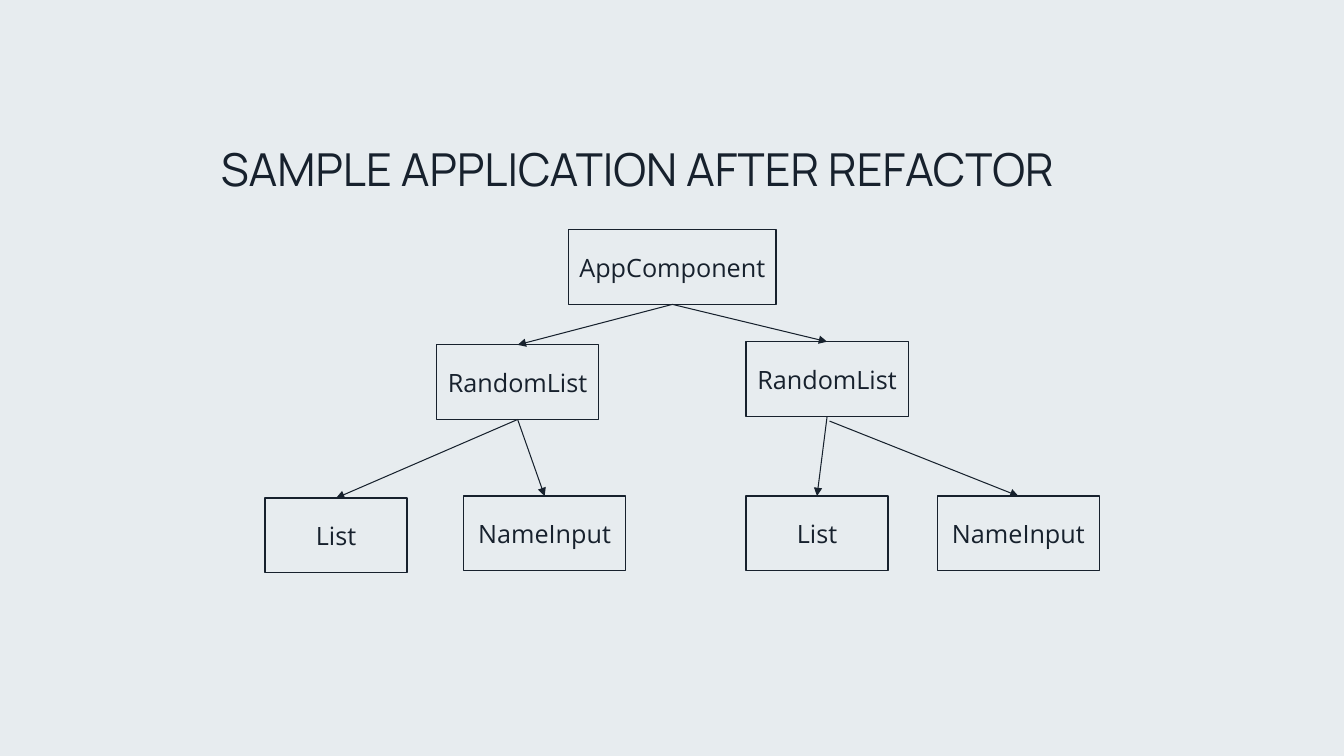
from pptx import Presentation
from pptx.dml.color import RGBColor
from pptx.enum.shapes import MSO_CONNECTOR, MSO_SHAPE
from pptx.enum.text import MSO_ANCHOR, PP_ALIGN
from pptx.oxml.ns import qn
from pptx.util import Cm, Pt
from lxml import etree

RECT = MSO_SHAPE.RECTANGLE
STRAIGHT = MSO_CONNECTOR.STRAIGHT
MIDDLE = MSO_ANCHOR.MIDDLE
LEFT, CENTER = PP_ALIGN.LEFT, PP_ALIGN.CENTER

COLORS = {"bg": "E7ECEF", "ink": "17212D"}
BOTTOM, TOP = 2, 0
NODE_H = 1.88
WIDTHS = {"AppComponent": 5.23, "RandomList": 4.09, "NameInput": 4.09, "List": 3.58}
NODES = {
    "app": ("AppComponent", 7.65, 0),
    "random_left": ("RandomList", 4.32, 2.9),
    "random_right": ("RandomList", 12.12, 2.82),
    "input_right": ("NameInput", 16.94, 6.71),
    "list_right": ("List", 12.12, 6.71),
    "input_left": ("NameInput", 5, 6.71),
    "list_left": ("List", 0, 6.76),
}
EDGES = [
    ("app", "random_left", 0, 0),
    ("app", "random_right", 0, 0),
    ("random_left", "list_left", 0, 0),
    ("random_left", "input_left", 0, 0),
    ("random_right", "list_right", 0, 0),
    ("random_right", "input_right", 0.06, 0.12),
]


def ink():
    """Return the colour of text and lines."""
    return RGBColor.from_string(COLORS["ink"])


def write(tf, text, font, size, align):
    """Write one formatted run, centred vertically."""
    tf.vertical_anchor = MIDDLE
    p = tf.paragraphs[0]
    p.alignment = align
    r = p.add_run()
    r.text = text
    r.font.name = font
    r.font.size = Pt(size)
    r.font.color.rgb = ink()


def add_title(s, x, y, w, h):
    """Place the slide title in the given box."""
    sp = s.shapes.title
    sp.left, sp.top, sp.width, sp.height = Cm(x), Cm(y), Cm(w), Cm(h)
    sp.text_frame.word_wrap = True
    write(sp.text_frame, "SAMPLE APPLICATION AFTER REFACTOR", "Manrope", 32.4, LEFT)


def add_node(s, text, x, y):
    """Draw one outlined component."""
    sp = s.shapes.add_shape(RECT, Cm(x), Cm(y), Cm(WIDTHS[text]), Cm(NODE_H))
    sp.shadow.inherit = False
    sp.fill.background()
    sp.line.color.rgb = ink()
    sp.line.width = Pt(0.85)
    sp.text_frame.word_wrap = False
    write(sp.text_frame, text, "Open Sans", 18, CENTER)
    return sp


def add_arrow(s, parent, child, dx, dy):
    """Draw an arrow from parent to child, its start shifted by dx and dy."""
    c = s.shapes.add_connector(STRAIGHT, 0, 0, 0, 0)
    if dx or dy:
        c.begin_x = parent.left + parent.width // 2 + Cm(dx)
        c.begin_y = parent.top + parent.height + Cm(dy)
    else:
        c.begin_connect(parent, BOTTOM)
    c.end_connect(child, TOP)
    c.line.color.rgb = ink()
    c.line.width = Pt(0.75)
    etree.SubElement(c.line._get_or_add_ln(), qn("a:tailEnd"), type="triangle")
    etree.SubElement(c._element.spPr, qn("a:effectLst"))


def add_tree(s, x, y):
    """Draw the component tree from the given top left corner."""
    nodes = {
        key: add_node(s, text, x + dx, y + dy)
        for key, (text, dx, dy) in NODES.items()
    }
    for parent, child, dx, dy in EDGES:
        add_arrow(s, nodes[parent], nodes[child], dx, dy)


def main():
    """Build and save the slide."""
    prs = Presentation()
    prs.slide_width, prs.slide_height = Cm(33.87), Cm(19.05)
    s = prs.slides.add_slide(prs.slide_layouts[5])
    s.background.fill.solid()
    s.background.fill.fore_color.rgb = RGBColor.from_string(COLORS["bg"])
    add_title(s, 5.31, 3.18, 26.42, 2.13)
    add_tree(s, 6.68, 5.79)
    prs.save("out.pptx")


if __name__ == "__main__":
    main()
